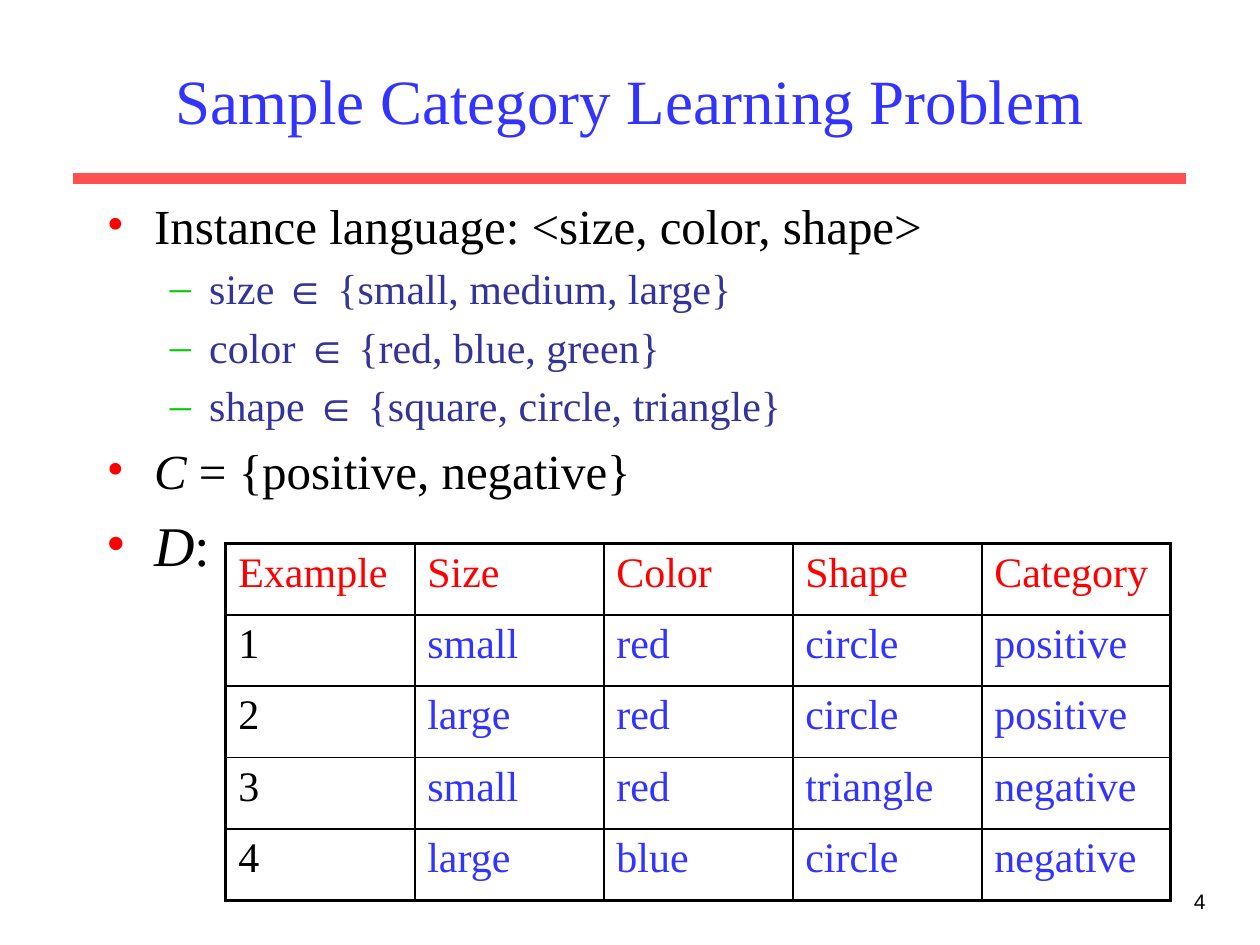
"""Build the slide on a sample category learning problem."""
from lxml import etree
from pptx import Presentation
from pptx.dml.color import RGBColor
from pptx.enum import shapes, text
from pptx.oxml import ns
from pptx.util import Pt

BLUE = RGBColor(0x33, 0x33, 0xFF)
NAVY = RGBColor(0x33, 0x33, 0x99)
RED = RGBColor(0xFF, 0, 0)
CORAL = RGBColor(0xFF, 0x50, 0x50)
GREEN = RGBColor(0, 0xCC, 0)
BLACK = RGBColor(0, 0, 0)
SERIF = "Times New Roman"


def add_xml(parent, tag, **attributes):
    return etree.SubElement(parent, ns.qn(tag), attributes)


def style(paragraph, size, color, font=SERIF, spaced=True):
    for run in paragraph.runs:
        run.font.size = Pt(size)
        run.font.name = font
        run.font.color.rgb = color
    properties = paragraph._p.get_or_add_pPr()
    if spaced:
        add_xml(add_xml(properties, "a:spcBef"), "a:spcPct", val="20000")
    return properties


prs = Presentation()
prs.slide_width, prs.slide_height = Pt(720), Pt(540)
slide = prs.slides.add_slide(prs.slide_layouts[6])

rule = slide.shapes.add_connector(
    shapes.MSO_CONNECTOR.STRAIGHT, Pt(42), Pt(102), Pt(678), Pt(102))
rule.line.color.rgb = CORAL
rule.line.width = Pt(6)
add_xml(rule._element.spPr, "a:effectLst")

number = slide.shapes.add_textbox(Pt(546), Pt(504), Pt(150), Pt(36)).text_frame
number.word_wrap = True
number.text = "4"
number.paragraphs[0].alignment = text.PP_ALIGN.RIGHT
style(number.paragraphs[0], 12, BLACK, "Arial", spaced=False)

title = slide.shapes.add_textbox(Pt(54), Pt(18), Pt(612), Pt(78)).text_frame
title.word_wrap = True
title.vertical_anchor = text.MSO_ANCHOR.MIDDLE
title.text = "Sample Category Learning Problem"
title.paragraphs[0].alignment = text.PP_ALIGN.CENTER
style(title.paragraphs[0], 36, BLUE, spaced=False)

levels = [
    {"color": BLACK, "bullet": "•", "bullet_color": RED, "margin": 27, "hang": 27},
    {"color": NAVY, "bullet": "–", "bullet_color": GREEN, "margin": 58.5, "hang": 22.5},
]
points = [
    (0, 28, "", "Instance language: <size, color, shape>"),
    (1, 24, "", "size ∈ {small, medium, large}"),
    (1, 24, "", "color ∈ {red, blue, green}"),
    (1, 24, "", "shape ∈ {square, circle, triangle}"),
    (0, 28, "C ", "= {positive, negative}"),
    (0, 32, "D", ":"),
]
body = slide.shapes.add_textbox(Pt(54), Pt(108), Pt(612), Pt(369)).text_frame
body.word_wrap = True
for index, (level, size, symbol, wording) in enumerate(points):
    point = body.add_paragraph() if index else body.paragraphs[0]
    point.level = level
    if symbol:
        variable = point.add_run()
        variable.text = symbol
        variable.font.italic = True
    point.add_run().text = wording
    look = levels[level]
    properties = style(point, size, look["color"])
    properties.set("marL", str(Pt(look["margin"])))
    properties.set("indent", str(-Pt(look["hang"])))
    add_xml(add_xml(properties, "a:buClr"), "a:srgbClr", val=str(look["bullet_color"]))
    add_xml(properties, "a:buFont", typeface=SERIF)
    add_xml(properties, "a:buChar", char=look["bullet"])

examples = [
    ["Example", "Size", "Color", "Shape", "Category"],
    ["1", "small", "red", "circle", "positive"],
    ["2", "large", "red", "circle", "positive"],
    ["3", "small", "red", "triangle", "negative"],
    ["4", "large", "blue", "circle", "negative"],
]
last = len(examples) - 1
table = slide.shapes.add_table(
    5, 5, Pt(129), Pt(310.5), Pt(540), Pt(204)).table
table.first_row = table.horz_banding = False
for r, values in enumerate(examples):
    for c, value in enumerate(values):
        cell = table.cell(r, c)
        cell.text = value
        color = RED if r == 0 else BLACK if c == 0 else BLUE
        style(cell.text_frame.paragraphs[0], 24, color)
        outer_edges = {"L": c == 0, "R": c == last, "T": r == 0, "B": r == last}
        for side, outer in outer_edges.items():
            border = add_xml(cell._tc.get_or_add_tcPr(), f"a:ln{side}",
                             w=str(Pt(2.25 if outer else 1)))
            add_xml(add_xml(border, "a:solidFill"), "a:srgbClr", val=str(BLACK))
        cell.fill.background()

prs.save("out.pptx")
